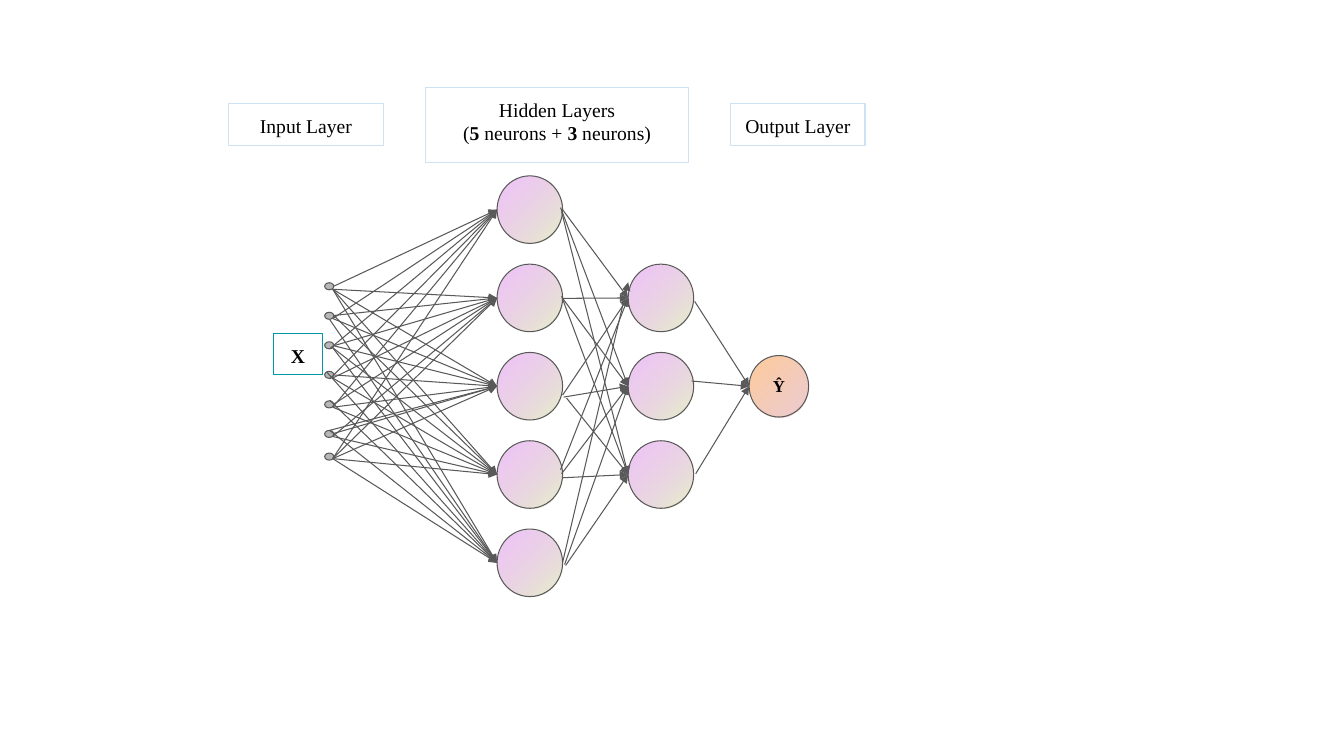
from pptx import Presentation
from pptx.dml.color import RGBColor
from pptx.enum.shapes import MSO_CONNECTOR, MSO_SHAPE
from pptx.enum.text import MSO_ANCHOR, PP_ALIGN
from pptx.oxml.ns import qn
from pptx.util import Inches, Pt
from lxml.etree import SubElement

BLACK = RGBColor(0x00, 0x00, 0x00)
GREY = RGBColor(0x59, 0x59, 0x59)
INPUT_GREY = RGBColor(0xB7, 0xB7, 0xB7)
PALE_BLUE = RGBColor(0xCF, 0xE2, 0xF3)
TEAL = RGBColor(0x00, 0x97, 0xA7)
GREEN = RGBColor(0xE0, 0xED, 0xBA)
VIOLET = RGBColor(0xDE, 0x87, 0xF1)
ROSE = RGBColor(0xE9, 0xBF, 0xC6)
ORANGE = RGBColor(0xFF, 0xCC, 0x99)
FONT = "Times New Roman"

# Box (left, top, width, height), border, paragraphs of (text, bold) runs
LABELS = [
    ((2.27, 1.03, 1.53, 0.41), PALE_BLUE, [[("Input Layer", False)]]),
    ((4.22, 0.87, 2.61, 0.74), PALE_BLUE, [
        [("Hidden Layers", False)],
        [("(", False), ("5", True), (" neurons + ", False), ("3", True), (" neurons)", False)],
    ]),
    ((7.25, 1.03, 1.33, 0.41), PALE_BLUE, [[("Output Layer", False)]]),
    ((2.71, 3.31, 0.49, 0.41), TEAL, [[("X", True)]]),
]
OUTPUT_TEXT = [[("Ŷ", True)]]

# Gradient stops from lower right to upper left: (colour, opacity in percent)
HIDDEN_STOPS = [(GREEN, 79), (VIOLET, 48)]
OUTPUT_STOPS = [(ROSE, 79), (ORANGE, 100)]

# Node layers: left edge, node size, centre heights
NEURON_SIZE = (0.65, 0.67)
FIRST_NEURON_Y, NEURON_PITCH = 2.08, 0.876
hidden_ys = [FIRST_NEURON_Y + NEURON_PITCH * i for i in range(5)]
middle_ys = hidden_ys[1:4]
INPUT_X, HIDDEN_X, SECOND_X, OUTPUT_X = 3.22, 4.93, 6.23, 7.43
INPUT_SIZE, OUTPUT_SIZE = (0.09, 0.07), (0.59, 0.61)
input_ys = [2.84 + 0.293 * i for i in range(6)] + [4.53]
output_y = hidden_ys[2]

# Arrows grouped by where they end: (x, y), then their starting points
ARROWS = [
    ((HIDDEN_X, hidden_ys[0]), [(3.31, 2.84), (3.3, 3.16), (3.27, 3.46), (3.27, 3.76),
                                (3.3, 4.04), (3.3, 4.55)]),
    ((HIDDEN_X, hidden_ys[1]), [(3.3, 2.87), (3.31, 3.13), (3.31, 3.43), (3.3, 3.75),
                                (3.31, 4.01), (3.3, 4.33), (3.3, 4.55)]),
    ((HIDDEN_X, hidden_ys[2]), [(3.3, 2.87), (3.3, 3.16), (3.31, 3.43), (3.31, 3.72),
                                (3.3, 4.04), (3.27, 4.27), (3.31, 4.3), (3.3, 4.55)]),
    ((HIDDEN_X, hidden_ys[3]), [(3.3, 2.87), (3.31, 3.13), (3.3, 3.45), (3.3, 3.75),
                                (3.3, 4.04), (3.3, 4.33), (3.3, 4.55)]),
    ((HIDDEN_X, hidden_ys[4]), [(3.3, 2.87), (3.27, 3.17), (3.3, 3.45), (3.24, 3.69),
                                (3.27, 3.97), (3.27, 4.27), (3.3, 4.55)]),
    ((SECOND_X, middle_ys[0]), [(5.58, 2.08), (5.58, 2.96), (5.58, 3.92), (5.56, 4.66)]),
    ((SECOND_X, 2.8), [(5.58, 5.58)]),
    ((SECOND_X, middle_ys[1]), [(5.56, 2.06), (5.58, 2.96), (5.59, 3.94), (5.57, 4.7),
                                (5.6, 5.6)]),
    ((SECOND_X, middle_ys[2]), [(5.57, 2.1), (5.57, 2.94), (5.62, 3.95), (5.58, 4.74),
                                (5.61, 5.61)]),
    ((OUTPUT_X, output_y), [(6.89, 2.99), (6.86, 3.78), (6.9, 4.7)]),
]


def add_outlined(slide, preset, box, line_color):
    shape = slide.shapes.add_shape(preset, *map(Inches, box))
    shape.shadow.inherit = False
    shape.fill.background()
    shape.line.color.rgb = line_color
    shape.line.width = Pt(0.75)
    return shape


def write(shape, paragraphs, size, anchor):
    frame = shape.text_frame
    frame.word_wrap = True
    frame.vertical_anchor = anchor
    frame.margin_left = frame.margin_right = Inches(0.1)
    frame.margin_top = frame.margin_bottom = Inches(0.1)
    for i, runs in enumerate(paragraphs):
        paragraph = frame.add_paragraph() if i else frame.paragraphs[0]
        paragraph.alignment = PP_ALIGN.CENTER
        for text, bold in runs:
            run = paragraph.add_run()
            run.text = text
            run.font.name = FONT
            run.font.size = Pt(size)
            run.font.bold = bold
            run.font.color.rgb = BLACK


def shade(shape, stops):
    """Fill with a diagonal gradient whose stops may be translucent."""
    shape.fill.gradient()
    shape.fill.gradient_angle = 135
    for stop, position, (color, _) in zip(shape.fill.gradient_stops, (0, 1), stops):
        stop.position = position
        stop.color.rgb = color
    for gs, (_, opacity) in zip(shape._element.spPr.iter(qn("a:gs")), stops):
        if opacity < 100:
            SubElement(gs[0], qn("a:alpha")).set("val", str(opacity * 1000))


def add_layer(slide, preset, left, size, centres):
    width, height = size
    return [add_outlined(slide, preset, (left, y - height / 2, width, height), GREY)
            for y in centres]


def add_arrow(slide, start, end):
    arrow = slide.shapes.add_connector(MSO_CONNECTOR.STRAIGHT, *map(Inches, start + end))
    arrow.line.color.rgb = GREY
    arrow.line.width = Pt(0.75)
    SubElement(arrow.line._get_or_add_ln(), qn("a:tailEnd")).set("type", "triangle")
    SubElement(arrow._element.spPr, qn("a:effectLst"))


def main():
    prs = Presentation()
    prs.slide_width, prs.slide_height = Inches(13.33), Inches(7.5)
    slide = prs.slides.add_slide(prs.slide_layouts[6])

    for box, border, paragraphs in LABELS:
        label = add_outlined(slide, MSO_SHAPE.RECTANGLE, box, border)
        write(label, paragraphs, 14, MSO_ANCHOR.TOP)

    for node in add_layer(slide, MSO_SHAPE.FLOWCHART_CONNECTOR, INPUT_X, INPUT_SIZE, input_ys):
        node.fill.solid()
        node.fill.fore_color.rgb = INPUT_GREY
    for left, centres in ((HIDDEN_X, hidden_ys), (SECOND_X, middle_ys)):
        for neuron in add_layer(slide, MSO_SHAPE.OVAL, left, NEURON_SIZE, centres):
            shade(neuron, HIDDEN_STOPS)
    output, = add_layer(slide, MSO_SHAPE.OVAL, OUTPUT_X, OUTPUT_SIZE, [output_y])
    shade(output, OUTPUT_STOPS)
    write(output, OUTPUT_TEXT, 12, MSO_ANCHOR.MIDDLE)

    for end, starts in ARROWS:
        for start in starts:
            add_arrow(slide, start, end)

    prs.save("out.pptx")


if __name__ == "__main__":
    main()
